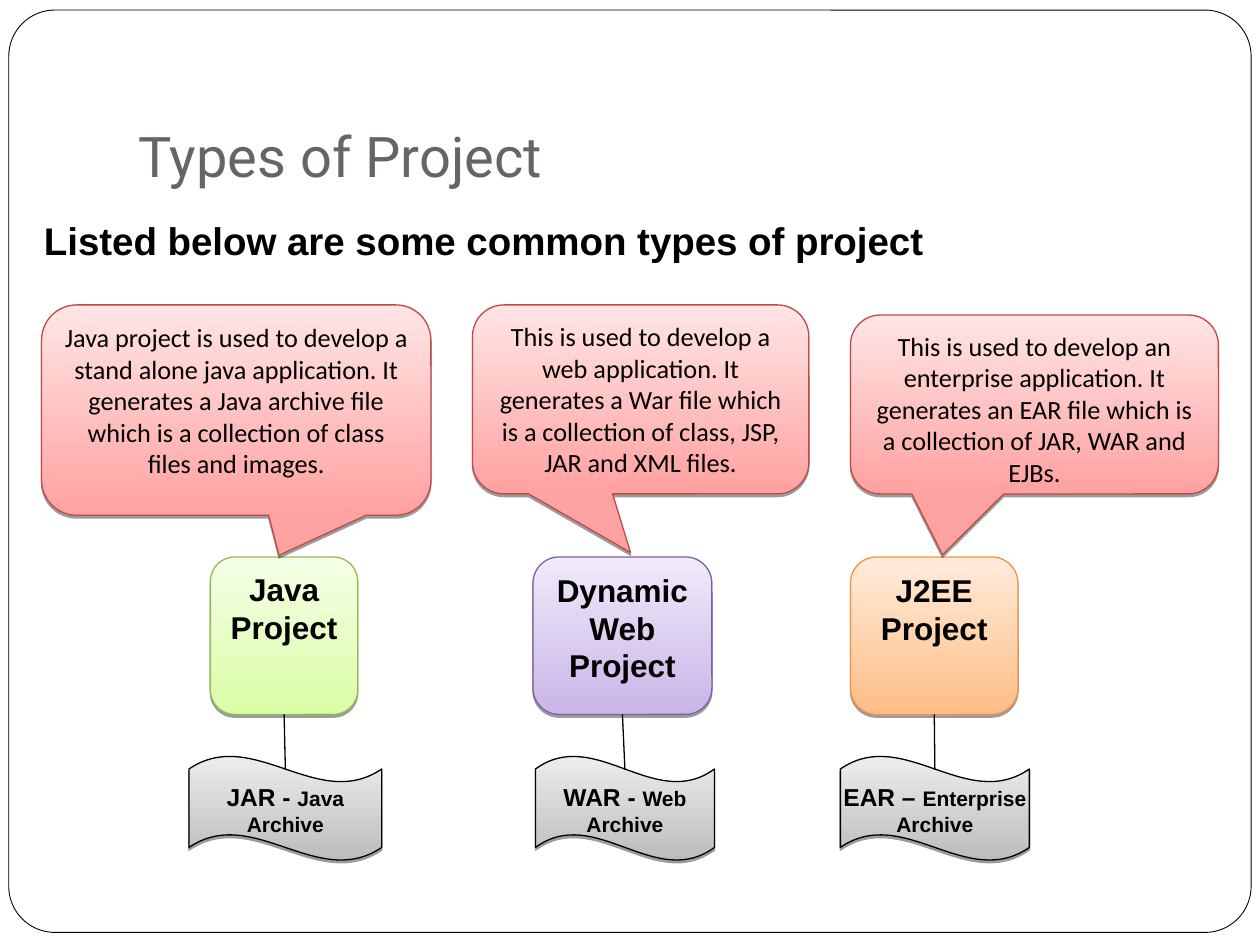
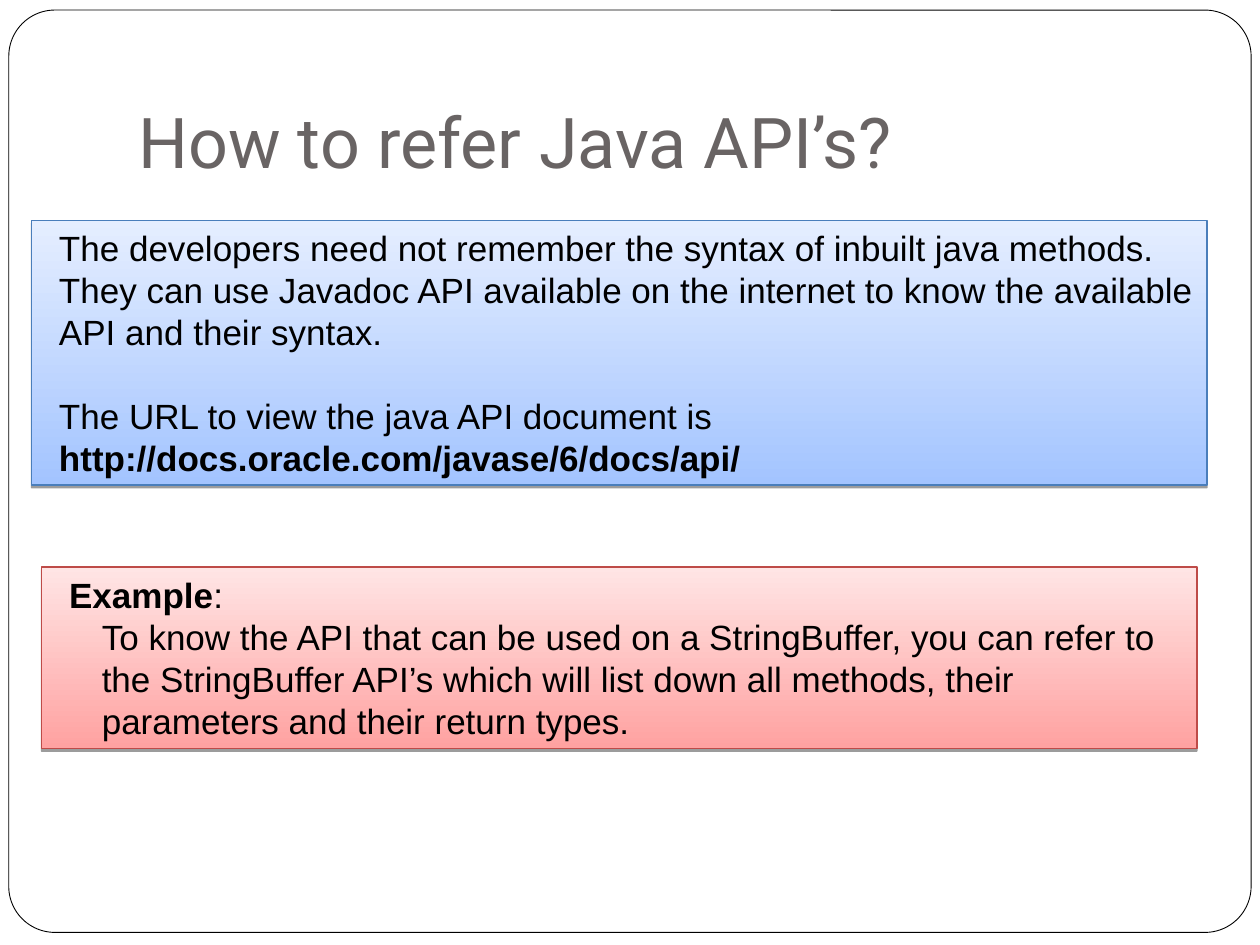
from dataclasses import dataclass

from lxml import etree
from pptx import Presentation
from pptx import util as u
from pptx.dml.color import RGBColor
from pptx.enum import shapes, text
from pptx.oxml.ns import qn

BLACK, WHITE, TITLE_GREY = "000000", "FFFFFF", "696464"
SHAPE = shapes.MSO_SHAPE
LEFT, CENTER = text.PP_ALIGN.LEFT, text.PP_ALIGN.CENTER
TOP, BOTTOM = text.MSO_ANCHOR.TOP, text.MSO_ANCHOR.BOTTOM


@dataclass(frozen=True)
class Area:
    left: float
    top: float
    width: float
    height: float

    def lengths(self) -> list:
        return [u.Inches(n) for n in (self.left, self.top, self.width, self.height)]


@dataclass(frozen=True)
class Look:
    dark: str
    light: str
    line: str


@dataclass(frozen=True)
class Span:
    words: str
    size: float
    bold: bool = False
    font: str = "Arial"
    color: str = BLACK


@dataclass(frozen=True)
class Para:
    spans: tuple[Span, ...]
    indent: float = 0
    before: float = 0


@dataclass(frozen=True)
class Project:
    name: str
    look: Look
    box: Area
    note: str
    callout: Area
    tip: tuple[float, float]
    archive: tuple[str, str]
    wave: Area


RED = Look("FFA2A1", "FFE5E5", "BE4B48")
BLUE = Look("A3C4FF", "E5EEFF", "4A7EBB")
GREEN = Look("DAFDA7", "F5FFE6", "98B954")
PURPLE = Look("C9B5E8", "F0EAF9", "7D60A0")
ORANGE = Look("FFBE86", "FFEBDB", "F69240")
GREY = Look("BCBCBC", "EDEDED", BLACK)

BOX_TOP, BOX_HEIGHT = 4.42, 1.25
WAVE_TOP, WAVE_HEIGHT = 6, 0.83

PROJECTS = (
    Project("Java Project", GREEN, Area(1.67, BOX_TOP, 1.17, BOX_HEIGHT),
            "Java project is used to develop a stand alone java application. It "
            "generates a Java archive file which is a collection of class files "
            "and images.",
            Area(0.33, 2.42, 3.09, 1.67), (0.11, 0.69),
            ("JAR - ", "Java Archive"), Area(1.5, WAVE_TOP, 1.53, WAVE_HEIGHT)),
    Project("Dynamic Web Project", PURPLE, Area(4.23, BOX_TOP, 1.42, BOX_HEIGHT),
            "This is used to develop a web application. It generates a War file "
            "which is a collection of class, JSP, JAR and XML files.",
            Area(3.75, 2.42, 2.67, 1.5), (-0.03, 0.81),
            ("WAR - ", "Web Archive"), Area(4.25, WAVE_TOP, 1.42, WAVE_HEIGHT)),
    Project("J2EE Project", ORANGE, Area(6.75, BOX_TOP, 1.33, BOX_HEIGHT),
            "This is used to develop an enterprise application. It generates an "
            "EAR file which is a collection of JAR, WAR and EJBs.",
            Area(6.75, 2.5, 2.92, 1.42), (-0.25, 0.84),
            ("EAR – ", "Enterprise Archive"), Area(6.67, WAVE_TOP, 1.5, WAVE_HEIGHT)),
)


def rgb(color: str) -> RGBColor:
    return RGBColor.from_string(color)


def style_font(font, span: Span) -> None:
    font.name, font.size, font.bold = span.font, u.Pt(span.size), span.bold
    font.color.rgb = rgb(span.color)


def write(shape, paras: list[Para], align=LEFT, anchor=TOP,
          insets=(0.1, 0.05, 0.1, 0.05)) -> None:
    frame = shape.text_frame
    frame.word_wrap, frame.vertical_anchor = True, anchor
    (frame.margin_left, frame.margin_top,
     frame.margin_right, frame.margin_bottom) = [u.Inches(n) for n in insets]
    for index, para in enumerate(paras):
        paragraph = frame.add_paragraph() if index else frame.paragraphs[0]
        paragraph.alignment = align
        if para.before:
            paragraph.space_before = u.Pt(para.before)
        if para.indent:
            properties = paragraph._p.get_or_add_pPr()
            properties.set("marL", str(u.Inches(para.indent)))
            properties.set("indent", "0")
        for span in para.spans:
            run = paragraph.add_run()
            run.text = span.words
            if len(para.spans) > 1:
                style_font(run.font, span)
        if len(para.spans) == 1:
            style_font(paragraph.font, para.spans[0])


def add_text(page, area: Area, span: Span, **layout) -> None:
    box = page.shapes.add_textbox(*area.lengths())
    write(box, [Para((span,))], **layout)


def add_panel(page, kind, area: Area, look: Look, adjustments=()):
    """Shape with a vertical gradient and a hard shadow just below it."""
    shape = page.shapes.add_shape(kind, *area.lengths())
    for index, value in enumerate(adjustments):
        shape.adjustments[index] = value
    shape.fill.gradient()
    shape.fill.gradient_angle = 90
    for stop, color in zip(shape.fill.gradient_stops, (look.dark, look.light)):
        stop.color.rgb = rgb(color)
    shape.line.color.rgb = rgb(look.line)
    shape.line.width = u.Pt(0.75)
    shape.shadow.inherit = False
    effects = shape._element.spPr.find(qn("a:effectLst"))
    shadow = etree.SubElement(effects, qn("a:outerShdw"), blurRad="0",
                              dist=str(u.Pt(1.6)), dir="5400000", rotWithShape="0")
    tint = etree.SubElement(shadow, qn("a:srgbClr"), val=BLACK)
    etree.SubElement(tint, qn("a:alpha"), val="38000")
    return shape


def add_page(deck, title: str, size: float, title_bottom: float = 0.05):
    """Page with the rounded frame and title."""
    page = deck.slides.add_slide(deck.slide_layouts[6])
    frame = page.shapes.add_shape(SHAPE.ROUNDED_RECTANGLE,
                                  *Area(0.07, 0.08, 9.86, 7.32).lengths())
    frame.adjustments[0] = 0.05
    frame.fill.solid()
    frame.fill.fore_color.rgb = rgb(WHITE)
    frame.line.color.rgb = rgb(BLACK)
    frame.line.width = u.Pt(0.5)
    frame.shadow.inherit = False
    add_text(page, Area(1, 0.3, 8.5, 1.25),
             Span(title, size, False, "Roboto", TITLE_GREY),
             anchor=BOTTOM, insets=(0.1, 0.05, 0.1, title_bottom))
    return page


def add_project(page, project: Project) -> None:
    box = add_panel(page, SHAPE.ROUNDED_RECTANGLE, project.box, project.look)
    write(box, [Para((Span(project.name, 18, True),))], CENTER)

    callout = add_panel(page, SHAPE.ROUNDED_RECTANGULAR_CALLOUT, project.callout,
                        RED, project.tip)
    write(callout, [Para((Span(project.note, 15, font="Calibri"),))], CENTER)

    wave = add_panel(page, SHAPE.WAVE, project.wave, GREY)
    short, full = project.archive
    write(wave, [Para((Span(short, 14, True), Span(full, 12, True)))],
          CENTER, insets=(0, 0, 0, 0))

    # The line runs from the box down to the middle of the wave's upper edge
    line = page.shapes.add_connector(
        shapes.MSO_CONNECTOR.STRAIGHT, 0, 0,
        u.Inches(project.wave.left + project.wave.width / 2), u.Inches(6.11))
    line.begin_connect(box, 2)
    line.line.color.rgb = rgb(BLACK)
    line.line.width = u.Pt(0.75)
    etree.SubElement(line._element.spPr, qn("a:effectLst"))


def project_types_page(deck) -> None:
    page = add_page(deck, "Types of Project", 32)
    for project in PROJECTS:
        add_project(page, project)
    add_text(page, Area(0.25, 1.67, 8.92, 0.47),
             Span("Listed below are some common types of project", 22, True))


def java_api_page(deck) -> None:
    page = add_page(deck, "How to refer Java API’s?", 40, 0.1)
    size = 20
    reference = add_panel(page, SHAPE.RECTANGLE, Area(0.25, 1.75, 9.33, 2.1), BLUE)
    write(reference, [
        Para((Span("The developers need not remember the syntax of inbuilt java "
                   "methods. They can use Javadoc API available on the internet to "
                   "know the available API and their syntax.", size),), 0.12),
        Para((Span("The URL to view the java API document is", size),), 0.12, 24),
        Para((Span("http://docs.oracle.com/javase/6/docs/api/", size, True),), 0.12),
    ])
    example = add_panel(page, SHAPE.RECTANGLE, Area(0.33, 4.5, 9.17, 1.44), RED)
    write(example, [
        Para((Span("Example", size, True), Span(":", size)), 0.12),
        Para((Span("To know the API that can be used on a StringBuffer, you can "
                   "refer to the StringBuffer API’s which will list down all "
                   "methods, their parameters and their return types.", size),), 0.38),
    ])


def main() -> None:
    deck = Presentation()
    deck.slide_width, deck.slide_height = u.Inches(10), u.Inches(7.5)
    project_types_page(deck)
    java_api_page(deck)
    deck.save("out.pptx")


if __name__ == "__main__":
    main()
